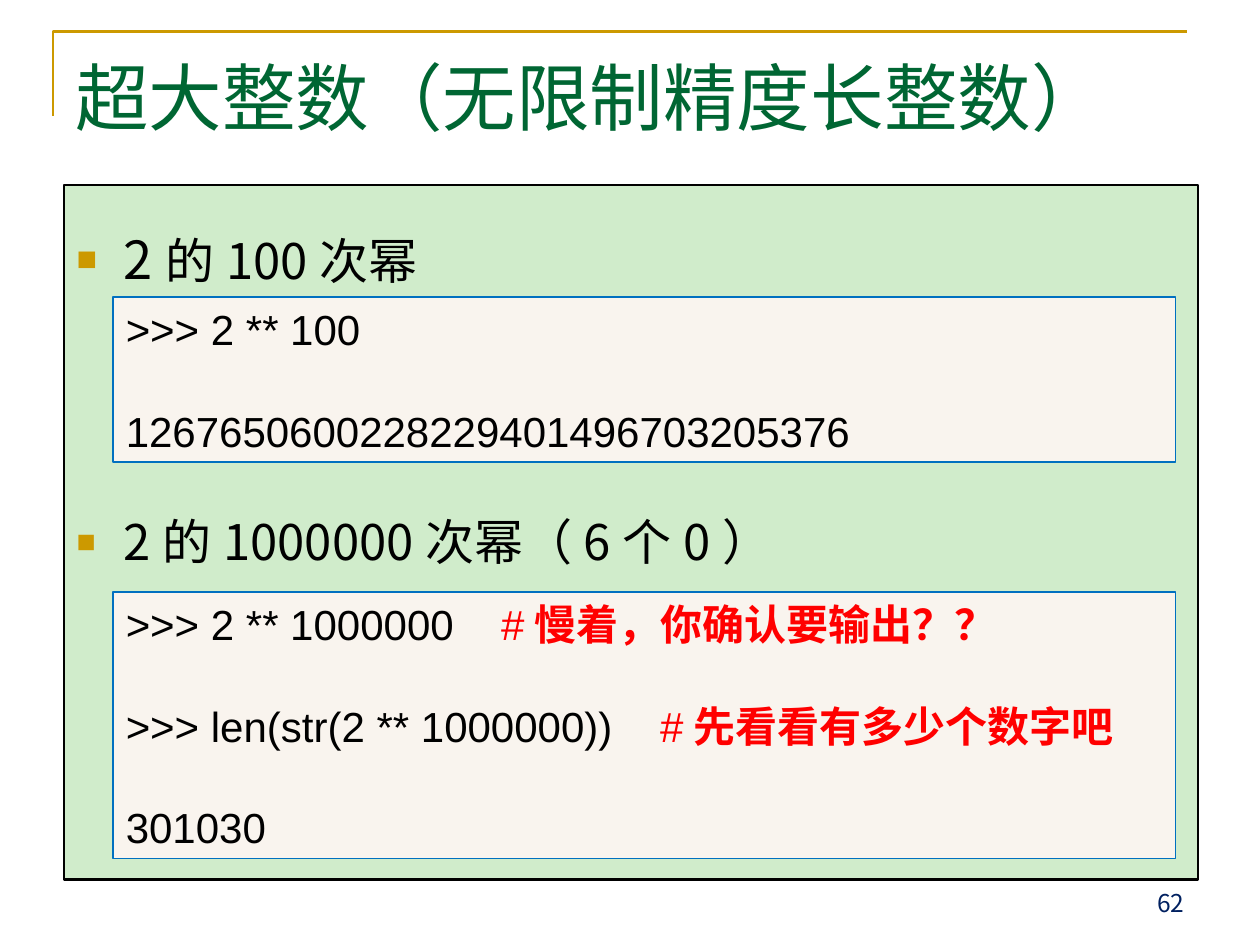
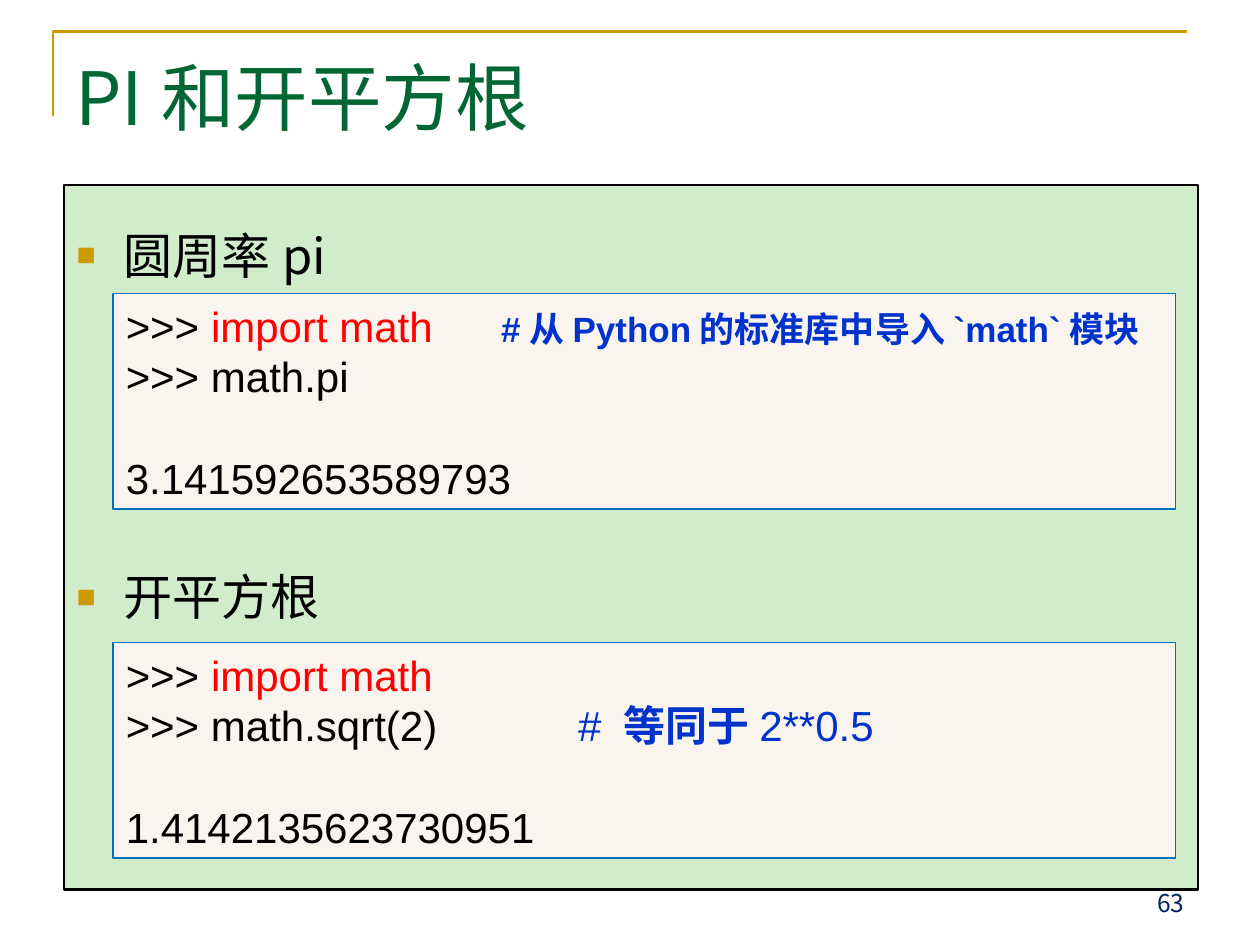
"""Builds two Python teaching slides: big integers, then pi and square roots."""
from dataclasses import dataclass
from typing import Optional

import lxml.etree
import pptx
import pptx.dml.color
import pptx.enum.shapes
import pptx.enum.text
import pptx.oxml.ns
import pptx.util

COLORS = {
    "gold": "CC9900", "title": "006633", "panel": "D0ECCB", "code": "F9F4EE",
    "border": "0070C0", "page": "002060", "black": "000000", "red": "FF0000",
    "blue": "0033CC",
}
HEADING_FONT = "Noto Sans CJK SC"
CODE_FONT = "Arial"
SLIDE_WIDTH = pptx.util.Inches(10)
SLIDE_HEIGHT = pptx.util.Inches(7.5)
COLUMNS, ROWS = 100, 75
CODE_LINE = 29
CODE_LINE_ROWS = 4.03
HEADING_LINE = 40
INDENT_COLUMNS = 3.75


@dataclass(frozen=True)
class Span:
    """A stretch of text in one style."""
    text: str
    color: str = "black"
    bold: bool = False
    size: Optional[float] = None


@dataclass(frozen=True)
class Line:
    """A paragraph with its gap above and an optional comment tab stop in columns."""
    spans: tuple[Span, ...]
    gap: float = 0
    tab: Optional[float] = None


@dataclass(frozen=True)
class Box:
    """A place on the grid, in columns and rows."""
    left: float
    top: float
    width: float
    height: float


@dataclass(frozen=True)
class TextStyle:
    """Type settings shared by the paragraphs of a box."""
    font: str
    size: float
    line_height: Optional[float] = None
    bullet: bool = False


@dataclass(frozen=True)
class CodeBlock:
    """A console listing, placed by its top row."""
    top: float
    lines: tuple[Line, ...]


@dataclass(frozen=True)
class Lesson:
    """All that differs between the slides."""
    title: str
    page: int
    panel_rows: float
    panel_inset: float
    headings: tuple[Line, ...]
    code_blocks: tuple[CodeBlock, ...]


TITLE_STYLE = TextStyle(HEADING_FONT, 42, 55)
HEADING_STYLE = TextStyle(HEADING_FONT, 28, HEADING_LINE, bullet=True)
PAGE_STYLE = TextStyle(HEADING_FONT, 14)
CODE_STYLE = TextStyle(CODE_FONT, 24, CODE_LINE)

LESSONS = (
    Lesson(
        "超大整数（无限制精度长整数）", 62, 55.1, 2.8,
        (Line((Span("2", size=30), Span("的100次幂"))),
         Line((Span("2的1000000次幂（6个0）"),), gap=120)),
        (CodeBlock(23.6, (
            Line((Span(">>> 2 ** 100"),)),
            Line((Span("1267650600228229401496703205376"),), gap=CODE_LINE))),
         CodeBlock(47, (
             Line((Span(">>> 2 ** 1000000\t"), Span("#", "red"),
                   Span("慢着，你确认要输出？？", "red", True)), tab=29.8),
             Line((Span(">>> len(str(2 ** 1000000))\t"), Span("#", "red"),
                   Span("先看看有多少个数字吧", "red", True)), CODE_LINE, 42.4),
             Line((Span("301030"),), gap=CODE_LINE)))),
    ),
    Lesson(
        "PI和开平方根", 63, 55.9, 2.3,
        (Line((Span("圆周率pi"),)), Line((Span("开平方根"),), gap=155)),
        (CodeBlock(23.3, (
            Line((Span(">>> "), Span("import math\t", "red"),
                  Span("#从Python的标准库中导入`math`模块", "blue", True, 20)), tab=29.8),
            Line((Span(">>> math.pi"),)),
            Line((Span("3.141592653589793"),), gap=CODE_LINE))),
         CodeBlock(51, (
             Line((Span(">>> "), Span("import math", "red"))),
             Line((Span(">>> math.sqrt(2)\t"), Span("# ", "blue"),
                   Span("等同于", "blue", True), Span("2**0.5", "blue")), tab=35.9),
             Line((Span("1.4142135623730951"),), gap=CODE_LINE)))),
    ),
)


def column(count: float) -> int:
    """Turn grid columns into a length."""
    return round(SLIDE_WIDTH * count / COLUMNS)


def row(count: float) -> int:
    """Turn grid rows into a length."""
    return round(SLIDE_HEIGHT * count / ROWS)


def place(box: Box) -> tuple[int, int, int, int]:
    """Give the lengths that python-pptx expects for a box."""
    return column(box.left), row(box.top), column(box.width), row(box.height)


def rgb(name: str) -> pptx.dml.color.RGBColor:
    """Look up a named colour."""
    return pptx.dml.color.RGBColor.from_string(COLORS[name])


def add_element(parent, tag: str, **attributes: str):
    """Append a DrawingML element."""
    return lxml.etree.SubElement(parent, pptx.oxml.ns.qn(tag), attributes)


def add_bullet(properties) -> None:
    """Give a paragraph a hanging gold square."""
    indent = column(INDENT_COLUMNS)
    properties.set("marL", str(indent))
    properties.set("indent", str(-indent))
    add_element(add_element(properties, "a:buClr"), "a:srgbClr", val=COLORS["gold"])
    add_element(properties, "a:buSzPct", val="65000")
    add_element(properties, "a:buFont", typeface=CODE_FONT)
    add_element(properties, "a:buChar", char="■")


def write_lines(frame, lines: tuple[Line, ...], style: TextStyle,
                alignment=pptx.enum.text.PP_ALIGN.LEFT) -> None:
    """Fill a text frame run by run."""
    frame.word_wrap = True
    for index, line in enumerate(lines):
        paragraph = frame.add_paragraph() if index else frame.paragraphs[0]
        properties = paragraph._p.get_or_add_pPr()
        if style.bullet:
            add_bullet(properties)
        if line.tab:
            tabs = add_element(properties, "a:tabLst")
            add_element(tabs, "a:tab", pos=str(column(line.tab)), algn="l")
        paragraph.alignment = alignment
        paragraph.space_before = pptx.util.Pt(line.gap)
        if style.line_height:
            paragraph.line_spacing = pptx.util.Pt(style.line_height)
        for span in line.spans:
            run = paragraph.add_run()
            run.text = span.text
            run.font.size = pptx.util.Pt(span.size or style.size)
            run.font.bold = span.bold
            run.font.color.rgb = rgb(span.color)
            run.font.name = style.font
            add_element(run._r.get_or_add_rPr(), "a:ea", typeface=HEADING_FONT)


def add_panel(slide, box: Box, fill: str, border: str, weight: float):
    """Draw a filled rectangle whose text starts at the top."""
    panel = slide.shapes.add_shape(
        pptx.enum.shapes.MSO_SHAPE.RECTANGLE, *place(box))
    panel.shadow.inherit = False
    panel.fill.solid()
    panel.fill.fore_color.rgb = rgb(fill)
    panel.line.color.rgb = rgb(border)
    panel.line.width = pptx.util.Pt(weight)
    panel.text_frame.vertical_anchor = pptx.enum.text.MSO_ANCHOR.TOP
    return panel


def add_corner_rule(slide) -> None:
    """Draw the gold rule around the title's top left corner."""
    builder = slide.shapes.build_freeform(column(4.2), row(9.2))
    builder.add_line_segments(
        [(column(4.2), row(2.5)), (column(94.2), row(2.5))], close=False)
    rule = builder.convert_to_shape()
    rule.shadow.inherit = False
    rule.fill.background()
    rule.line.color.rgb = rgb("gold")
    rule.line.width = pptx.util.Pt(1.5)


def add_code_block(slide, block: CodeBlock) -> None:
    """Draw a console listing as tall as its lines and gaps."""
    line_count = sum(1 + line.gap / CODE_LINE for line in block.lines)
    box = Box(9, block.top, 84.3, 1 + line_count * CODE_LINE_ROWS)
    panel = add_panel(slide, box, "code", "border", 1)
    write_lines(panel.text_frame, block.lines, CODE_STYLE)


def add_lesson(presentation, lesson: Lesson) -> None:
    """Build one slide."""
    slide = presentation.slides.add_slide(presentation.slide_layouts[6])
    add_corner_rule(slide)
    title = slide.shapes.add_textbox(*place(Box(5, 3, 90, 12.5)))
    write_lines(title.text_frame, (Line((Span(lesson.title, "title"),)),), TITLE_STYLE)

    panel = add_panel(slide, Box(5.1, 14.7, 90, lesson.panel_rows), "panel", "black", 1.25)
    panel.text_frame.margin_top = row(lesson.panel_inset)
    write_lines(panel.text_frame, lesson.headings, HEADING_STYLE)

    page = slide.shapes.add_textbox(*place(Box(71.7, 68.3, 23.3, 5)))
    page.text_frame.vertical_anchor = pptx.enum.text.MSO_ANCHOR.BOTTOM
    write_lines(page.text_frame, (Line((Span(str(lesson.page), "page"),)),),
                PAGE_STYLE, pptx.enum.text.PP_ALIGN.RIGHT)
    for block in lesson.code_blocks:
        add_code_block(slide, block)


def main() -> None:
    """Build and save the slides."""
    presentation = pptx.Presentation()
    presentation.slide_width = SLIDE_WIDTH
    presentation.slide_height = SLIDE_HEIGHT
    for lesson in LESSONS:
        add_lesson(presentation, lesson)
    presentation.save("out.pptx")


if __name__ == "__main__":
    main()
